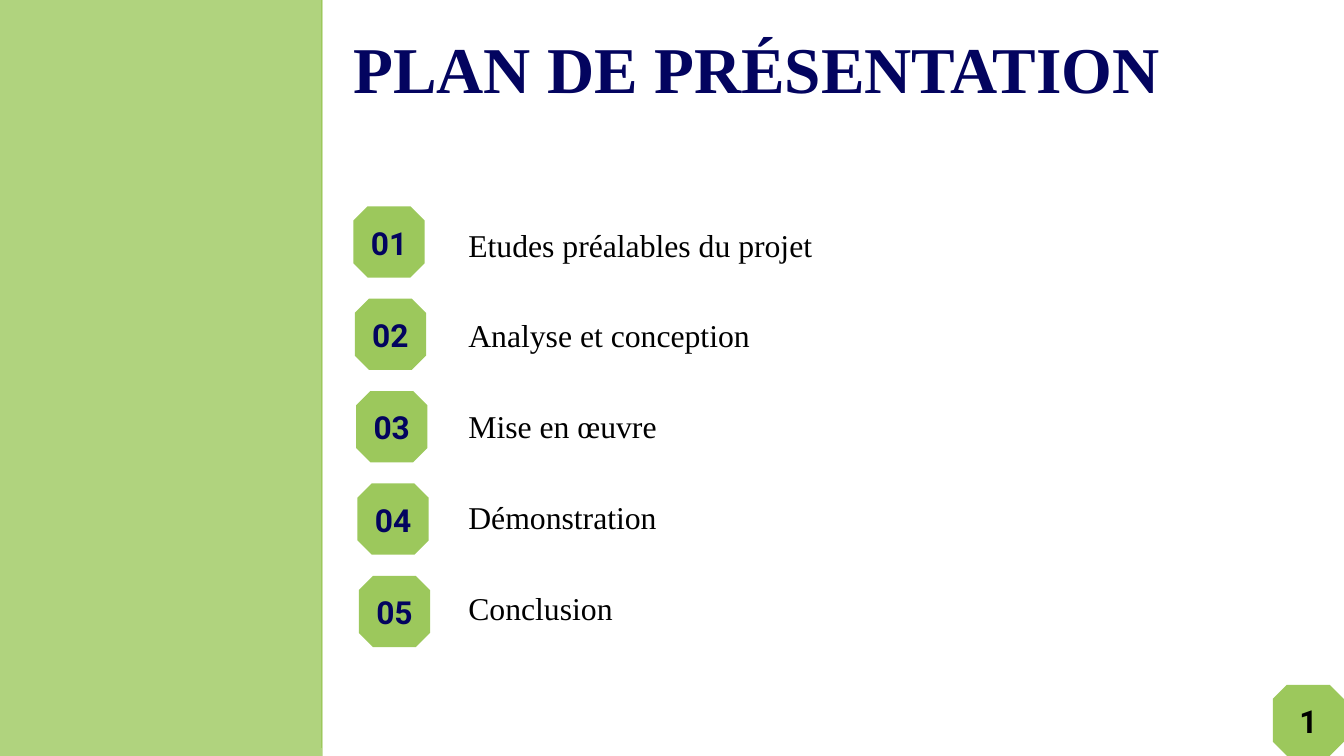
from dataclasses import dataclass

from lxml import etree
from pptx import Presentation
from pptx import util as u
from pptx.dml.color import RGBColor
from pptx.enum import shapes, text
from pptx.oxml.ns import qn

TITLE = "PLAN DE PRÉSENTATION"
TOPICS = [
    "Etudes préalables du projet",
    "Analyse et conception",
    "Mise en œuvre",
    "Démonstration",
    "Conclusion",
]
PAGE_NUMBER = "1"


@dataclass(frozen=True)
class Theme:
    green: str = "9CC85C"
    navy: str = "03045F"
    black: str = "000000"
    serif: str = "Times New Roman"
    sans: str = "Roboto"
    title_size: float = 70
    title_leading: float = 91
    body_size: float = 34
    body_leading: float = 47.6
    band_opacity: int = 79


THEME = Theme()
WIDTH, HEIGHT = 20, 11.25
BAND_WIDTH = 0.24 * WIDTH
BADGE = 1.06
BADGE_LEFT, BADGE_TOP = 5.26, 3.07
BADGE_STEP_X, BADGE_STEP_Y = 0.02, 1.375
LABEL_LEFT, LABEL_TOP, LABEL_STEP = 6.97, 3.26, 1.35


def inches(*lengths):
    return [u.Inches(length) for length in lengths]


def fill_plain(shape, color):
    shape.shadow.inherit = False
    shape.fill.solid()
    shape.fill.fore_color.rgb = RGBColor.from_string(color)
    shape.line.fill.background()


def add_text(parent, area, words, font, size, leading, color, bold=False,
             inset=0, centered=False):
    box = parent.shapes.add_textbox(*inches(*area))
    frame = box.text_frame
    frame.word_wrap = True
    frame.margin_left = frame.margin_right = u.Inches(inset)
    frame.margin_top = frame.margin_bottom = u.Inches(inset)
    para = frame.paragraphs[0]
    para.line_spacing = u.Pt(leading)
    if centered:
        frame.vertical_anchor = text.MSO_ANCHOR.MIDDLE
        para.alignment = text.PP_ALIGN.CENTER
    span = para.add_run()
    span.text = words
    span.font.name = font
    span.font.size = u.Pt(size)
    span.font.bold = bold
    span.font.color.rgb = RGBColor.from_string(color)


def add_badge(page, left, top, number, color):
    """Group an octagon with the number shown on it."""
    group = page.shapes.add_group_shape()
    octagon = group.shapes.add_shape(
        shapes.MSO_SHAPE.OCTAGON, *inches(left, top, BADGE, BADGE))
    octagon.adjustments[0] = 0.2
    fill_plain(octagon, THEME.green)
    add_text(group, (left + 0.08, top, 0.9, 0.98), number, THEME.sans,
             THEME.body_size, THEME.body_leading, color, bold=True,
             inset=0.05, centered=True)


def add_band_edge(page):
    x = BAND_WIDTH - 0.02
    edge = page.shapes.add_connector(
        shapes.MSO_CONNECTOR.STRAIGHT, *inches(x, 0, x, HEIGHT - 0.12))
    edge.line.color.rgb = RGBColor.from_string(THEME.green)
    edge.line.width = u.Pt(1.5)
    etree.SubElement(edge._element.spPr, qn("a:effectLst"))


def add_band(page):
    band = page.shapes.add_shape(
        shapes.MSO_SHAPE.RECTANGLE, *inches(0, 0, BAND_WIDTH, HEIGHT))
    fill_plain(band, THEME.green)
    color = band._element.spPr.find(qn("a:solidFill"))[0]
    etree.SubElement(color, qn("a:alpha"), val=str(THEME.band_opacity * 1000))


def main():
    deck = Presentation()
    deck.slide_width, deck.slide_height = inches(WIDTH, HEIGHT)
    page = deck.slides.add_slide(deck.slide_layouts[6])

    add_band_edge(page)
    add_text(page, (BADGE_LEFT, 0.32, 13.41, 1.38), TITLE, THEME.serif,
             THEME.title_size, THEME.title_leading, THEME.navy, bold=True)
    for row, topic in enumerate(TOPICS):
        add_badge(page, BADGE_LEFT + row * BADGE_STEP_X,
                  BADGE_TOP + row * BADGE_STEP_Y, f"{row + 1:02}", THEME.navy)
        add_text(page, (LABEL_LEFT, LABEL_TOP + row * LABEL_STEP, 8.87, 0.71),
                 topic, THEME.serif, THEME.body_size, THEME.body_leading,
                 THEME.black)
    add_badge(page, WIDTH - BADGE, HEIGHT - BADGE, PAGE_NUMBER, THEME.black)
    add_band(page)

    deck.save("out.pptx")


if __name__ == "__main__":
    main()
